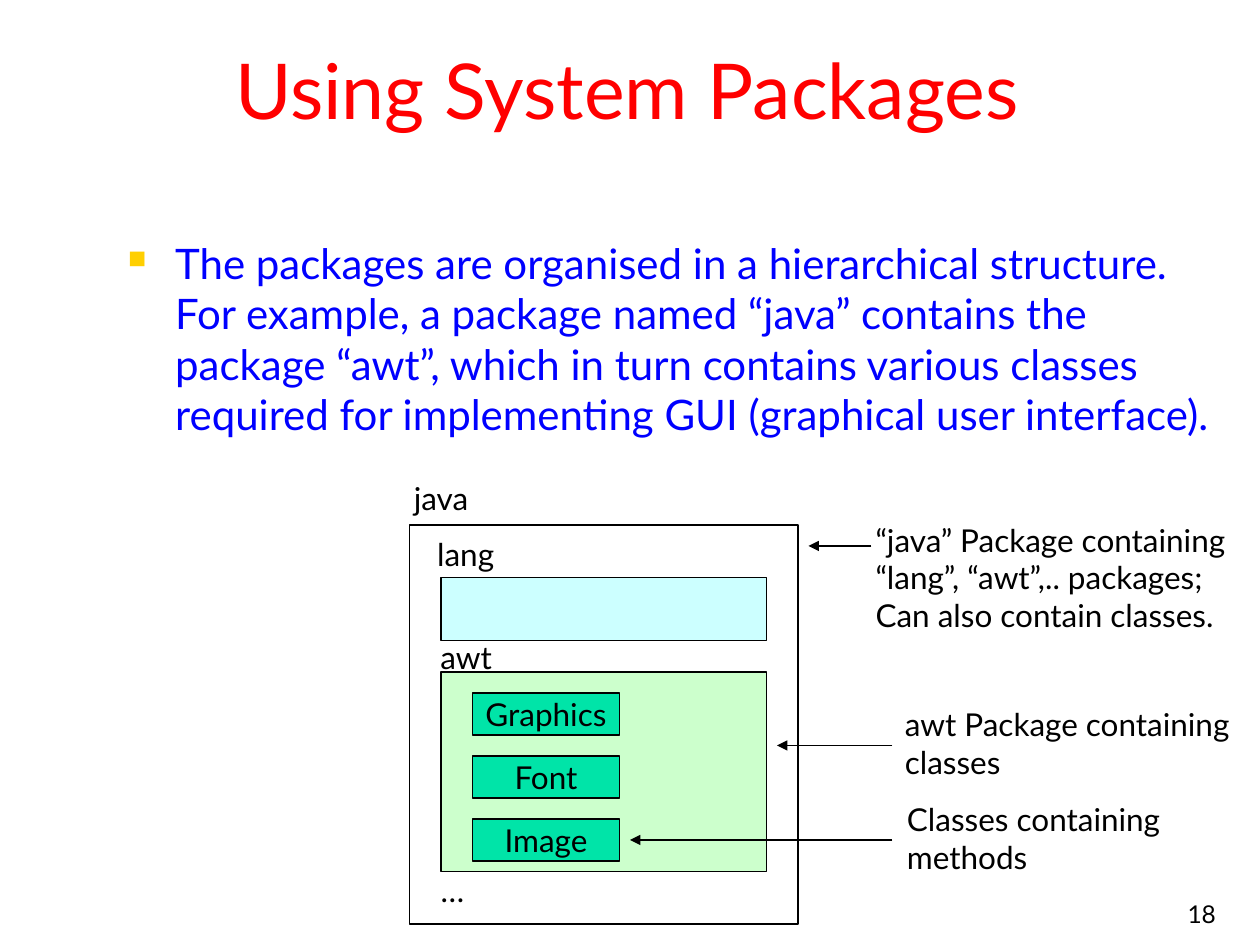
import pptx
import pptx.util
import pptx.dml.color
import pptx.enum.shapes
import pptx.enum.text
import pptx.oxml.ns
import lxml.etree

RGB = pptx.dml.color.RGBColor
ALIGN = pptx.enum.text.PP_ALIGN
ANCHOR = pptx.enum.text.MSO_ANCHOR
AUTO = pptx.enum.text.MSO_AUTO_SIZE
qn = pptx.oxml.ns.qn

PX = 7620
BLACK = RGB(0, 0, 0)
WHITE = RGB(255, 255, 255)
RED = RGB(255, 0, 0)
BLUE = RGB(0, 0, 255)
GOLD = RGB(0xFF, 0xCF, 0x01)
CYAN = RGB(0xCC, 0xFF, 0xFF)
PALE_GREEN = RGB(0xCC, 0xFF, 0xCC)
GREEN = RGB(0x00, 0xE4, 0xA8)


def add_text(tf, text, size=18, color=BLACK, align=ALIGN.LEFT,
             anchor=ANCHOR.TOP, wrap=False, fit=AUTO.NONE, font="Lato"):
    tf.word_wrap = wrap
    tf.auto_size = fit
    tf.vertical_anchor = anchor
    for i, line in enumerate(text.split("\n")):
        p = tf.add_paragraph() if i else tf.paragraphs[0]
        p.alignment = align
        r = p.add_run()
        r.text = line
        r.font.name = font
        r.font.size = pptx.util.Pt(size)
        r.font.color.rgb = color


class Deck:
    line_color = BLACK
    line_width = pptx.util.Pt(0.75)

    def __init__(self, width, height):
        self.prs = pptx.Presentation()
        self.prs.slide_width = width * PX
        self.prs.slide_height = height * PX
        self.s = self.prs.slides.add_slide(self.prs.slide_layouts[6])

    def rect(self, x, y, w, h, fill=None, outline=True):
        sp = self.s.shapes.add_shape(pptx.enum.shapes.MSO_SHAPE.RECTANGLE,
                                     x * PX, y * PX, w * PX, h * PX)
        sp.shadow.inherit = False
        if fill is None:
            sp.fill.background()
        else:
            sp.fill.solid()
            sp.fill.fore_color.rgb = fill
        if outline:
            sp.line.color.rgb = self.line_color
            sp.line.width = self.line_width
        else:
            sp.line.fill.background()
        return sp

    def text(self, x, y, w, h, text, **fmt):
        sp = self.s.shapes.add_textbox(x * PX, y * PX, w * PX, h * PX)
        add_text(sp.text_frame, text, **fmt)
        return sp

    def label(self, x, y, w, h, text, **fmt):
        return self.text(x, y, w, h, text, fit=AUTO.SHAPE_TO_FIT_TEXT, **fmt)

    def bullet(self, x, y, w, h, text, indent, **fmt):
        sp = self.text(x, y, w, h, text, wrap=True, **fmt)
        for p in sp.text_frame.paragraphs:
            p.space_before = pptx.util.Pt(6)
            pPr = p._p.get_or_add_pPr()
            pPr.set("marL", str(indent * PX))
            pPr.set("indent", str(-indent * PX))
            clr = lxml.etree.SubElement(pPr, qn("a:buClr"))
            lxml.etree.SubElement(clr, qn("a:srgbClr"), val=str(GOLD))
            lxml.etree.SubElement(pPr, qn("a:buSzPct"), val="60000")
            lxml.etree.SubElement(pPr, qn("a:buChar"), char="■")

    def arrow(self, x1, x2, y):
        c = self.s.shapes.add_connector(pptx.enum.shapes.MSO_CONNECTOR.STRAIGHT,
                                        x1 * PX, y * PX, x2 * PX, y * PX)
        c.line.color.rgb = self.line_color
        c.line.width = self.line_width
        lxml.etree.SubElement(c.line._get_or_add_ln(), qn("a:tailEnd"), type="triangle")
        lxml.etree.SubElement(c._element.spPr, qn("a:effectLst"))


def main():
    d = Deck(1200, 900)
    d.text(920, 830, 250, 60, "18", size=14, align=ALIGN.RIGHT,
           anchor=ANCHOR.BOTTOM, wrap=True)
    title = d.rect(20, 20, 1155, 130, WHITE, outline=False)
    add_text(title.text_frame, "Using System Packages", size=44, color=RED,
             align=ALIGN.CENTER, anchor=ANCHOR.MIDDLE, wrap=True)
    d.bullet(110, 220, 1060, 584,
             "The packages are organised in a hierarchical structure. "
             "For example, a package named “java” contains the package “awt”, "
             "which in turn contains various classes required for implementing "
             "GUI (graphical user interface).", indent=45, size=24, color=BLUE)

    d.rect(390, 500, 370, 380)
    d.rect(420, 640, 310, 190, PALE_GREEN)
    d.rect(420, 550, 310, 60, CYAN)
    for i, name in enumerate(("Graphics", "Font", "Image")):
        sp = d.rect(450, 660 + 60 * i, 140, 40, GREEN)
        add_text(sp.text_frame, name, align=ALIGN.CENTER, anchor=ANCHOR.MIDDLE)

    for x, y, w, name in ((380, 450, 80, "java"), (401, 504, 85, "lang"),
                          (407, 602, 74, "awt"), (407, 824, 48, "…")):
        d.label(x, y, w, 48, name, align=ALIGN.CENTER)

    for x1, x2, y in ((830, 770, 520), (850, 740, 710), (850, 600, 800)):
        d.arrow(x1, x2, y)

    for x, y, w, h, note in (
            (822, 490, 385, 120, "“java” Package containing\n"
             "“lang”, “awt”,.. packages;\nCan also contain classes."),
            (850, 666, 358, 84, "awt Package containing\nclasses"),
            (852, 756, 293, 84, "Classes containing\nmethods")):
        d.label(x, y, w, h, note)

    d.prs.save("out.pptx")


if __name__ == "__main__":
    main()
